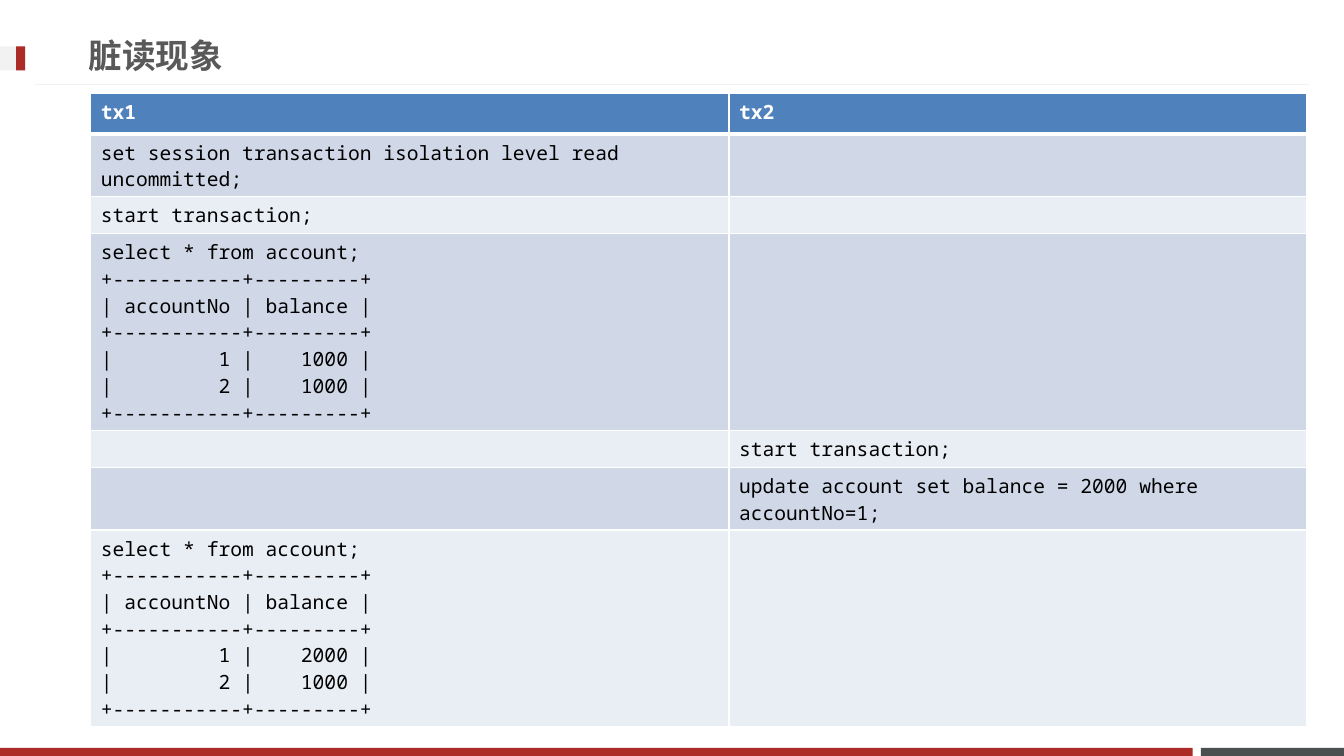
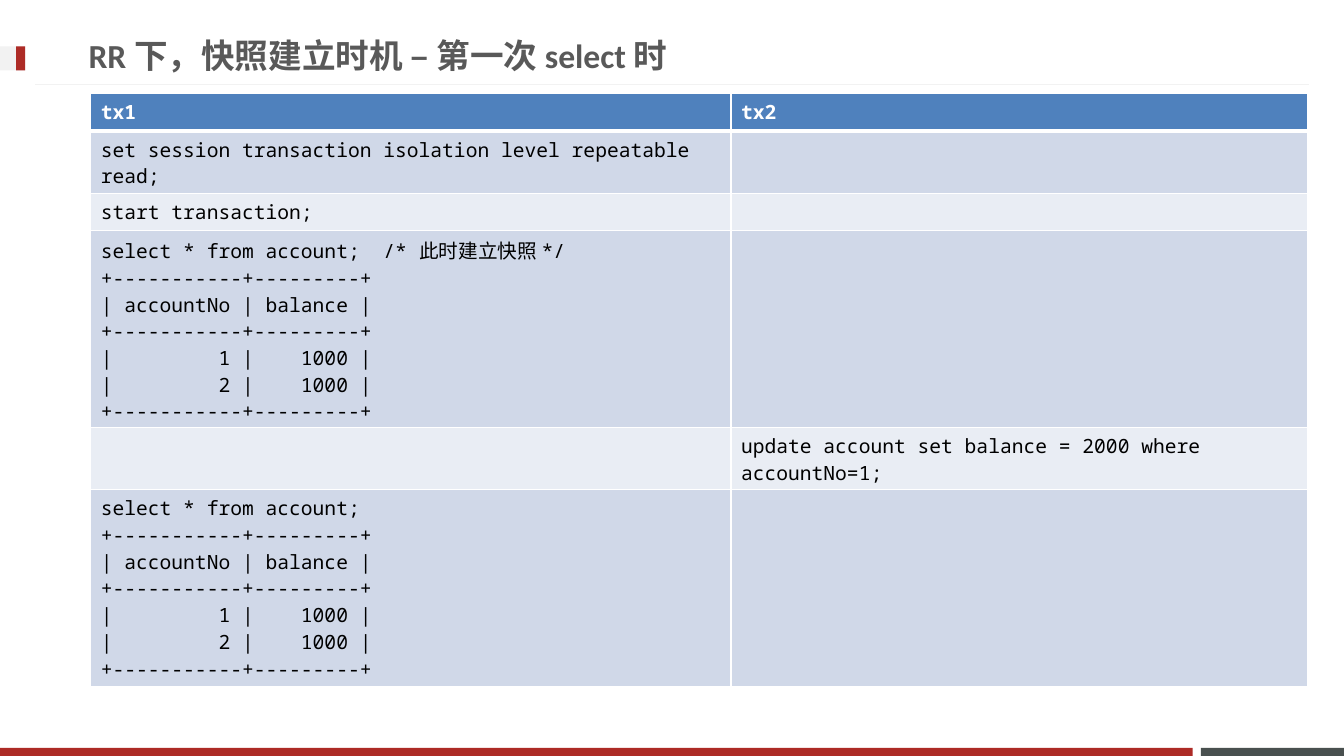
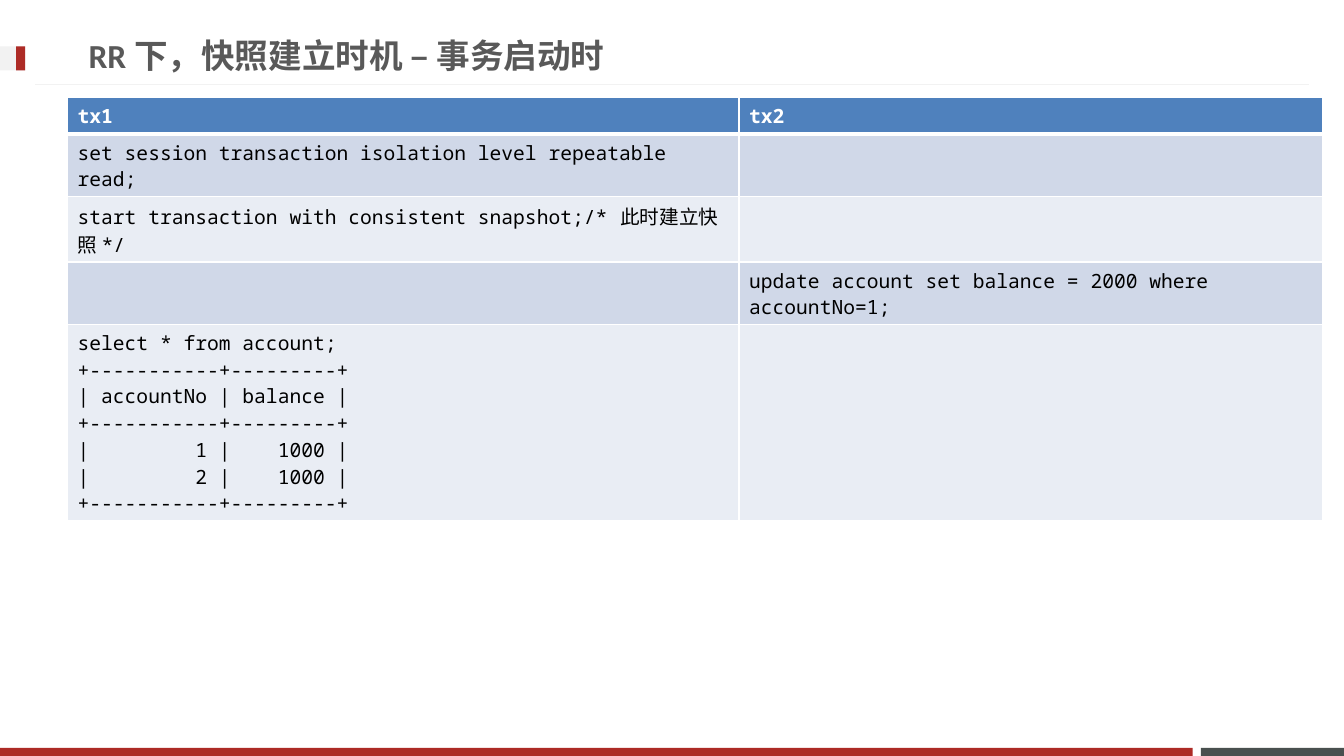
from lxml.etree import SubElement
from pptx import Presentation
from pptx.dml.color import RGBColor
from pptx.enum.shapes import MSO_CONNECTOR, MSO_SHAPE
from pptx.enum.text import MSO_ANCHOR
from pptx.oxml.ns import qn
from pptx.util import Inches, Pt

COLORS = {
    "red": "AD2B26", "slate": "49504F", "pale": "F2F2F2", "title": "595959",
    "header": "4F81BD", "band": "D0D8E8", "light": "E9EDF4",
    "white": "FFFFFF", "black": "000000",
}
CODE_SIZE = 14

# Left, top, width, height and colour of the blocks on every slide
BLOCKS = [
    (11.91, 7.42, 1.42, 0.08, "slate"),
    (0, 7.42, 11.83, 0.08, "red"),
    (0, 0.46, 0.25, 0.24, "pale"),
    (0.16, 0.46, 0.09, 0.24, "red"),
]


def write_text(frame, text, size=CODE_SIZE, font="Noto Sans Mono", color="black", bold=False):
    """Write one paragraph per line; an empty text only sets the line height."""
    for number, line in enumerate(text.split("\n")):
        paragraph = frame.add_paragraph() if number else frame.paragraphs[0]
        if not line:
            paragraph._p.get_or_add_endParaRPr().set("sz", str(size * 100))
            continue
        span = paragraph.add_run()
        span.text = line
        span.font.size = Pt(size)
        span.font.name = font
        span.font.bold = bold
        span.font.color.rgb = RGBColor.from_string(COLORS[color])


def select_result(first_balance, note=""):
    """Return the query and its printed result for the two accounts."""
    rule = "+-----------+---------+"
    accounts = [f"| {number:>9} | {balance:>7} |"
                for number, balance in ((1, first_balance), (2, 1000))]
    return "\n".join(["select * from account;" + note, rule,
                      "| accountNo | balance |", rule, *accounts, rule])


START = "start transaction;"
UPDATE = "update account set balance = 2000 where accountNo=1;"
ISOLATION = "set session transaction isolation level "
SNAPSHOT = "/* 此时建立快照 */"

# Each step is (tx1, tx2); heights belong to the header and then the steps
slides = [
    {
        "title": "脏读现象",
        "left": 0.9, "top": 0.93, "columns": [6.33, 5.73],
        "heights": [0.4, 0.62, 0.37, 1.95, 0.37, 0.62, 1.95],
        "steps": [
            (ISOLATION + "read uncommitted;", ""),
            (START, ""),
            (select_result(1000), ""),
            ("", START),
            ("", UPDATE),
            (select_result(2000), ""),
        ],
    },
    {
        "title": "RR 下，快照建立时机 – 第一次 select 时",
        "left": 0.9, "top": 0.93, "columns": [6.35, 5.72],
        "heights": [0.37, 0.62, 0.37, 1.95, 0.62, 1.95],
        "steps": [
            (ISOLATION + "repeatable read;", ""),
            (START, ""),
            (select_result(1000, "  " + SNAPSHOT), ""),
            ("", UPDATE),
            (select_result(1000), ""),
        ],
    },
    {
        "title": "RR 下，快照建立时机 – 事务启动时",
        "left": 0.67, "top": 0.97, "columns": [6.66, 5.79],
        "heights": [0.36, 0.62, 0.65, 0.62, 1.95],
        "steps": [
            (ISOLATION + "repeatable read;", ""),
            ("start transaction with consistent snapshot;" + SNAPSHOT, ""),
            ("", UPDATE),
            (select_result(1000), ""),
        ],
    },
]

deck = Presentation()
deck.slide_width, deck.slide_height = Inches(13.33), Inches(7.5)

for content in slides:
    page = deck.slides.add_slide(deck.slide_layouts[6])

    for left, top, width, height, color in BLOCKS:
        block = page.shapes.add_shape(MSO_SHAPE.RECTANGLE, Inches(left), Inches(top),
                                      Inches(width), Inches(height))
        block.shadow.inherit = False
        block.fill.solid()
        block.fill.fore_color.rgb = RGBColor.from_string(COLORS[color])
        block.line.fill.background()

    divider = page.shapes.add_connector(MSO_CONNECTOR.STRAIGHT, Inches(12.98), Inches(0.84),
                                        Inches(0.35), Inches(0.84))
    divider.line.color.rgb = RGBColor.from_string(COLORS["pale"])
    divider.line.width = Pt(0.75)
    SubElement(divider._element.spPr, qn("a:effectLst"))

    title = page.shapes.add_textbox(Inches(0.78), Inches(0.26), Inches(9.59), Inches(0.57))
    title.text_frame.word_wrap = True
    title.text_frame.vertical_anchor = MSO_ANCHOR.MIDDLE
    write_text(title.text_frame, content["title"], size=24, font="Calibri",
               color="title", bold=True)

    rows = [("tx1", "tx2"), *content["steps"]]
    table = page.shapes.add_table(
        len(rows), 2, Inches(content["left"]), Inches(content["top"]),
        Inches(sum(content["columns"])), Inches(sum(content["heights"]))).table
    table.horz_banding = False
    for column, width in zip(table.columns, content["columns"]):
        column.width = Inches(width)

    for row_number, texts in enumerate(rows):
        table.rows[row_number].height = Inches(content["heights"][row_number])
        is_header = row_number == 0
        fill = "header" if is_header else ("light", "band")[row_number % 2]
        borders = {"a:lnL": 1, "a:lnR": 1, "a:lnT": 3 if row_number == 1 else 1,
                   "a:lnB": 3 if is_header else 1}
        for column_number, text in enumerate(texts):
            cell = table.cell(row_number, column_number)
            write_text(cell.text_frame, text, color="white" if is_header else "black",
                       bold=is_header)
            properties = cell._tc.get_or_add_tcPr()
            for tag, width in borders.items():
                border = SubElement(properties, qn(tag), w=str(Pt(width)))
                solid = SubElement(border, qn("a:solidFill"))
                SubElement(solid, qn("a:srgbClr"), val=COLORS["white"])
            cell.fill.solid()
            cell.fill.fore_color.rgb = RGBColor.from_string(COLORS[fill])

deck.save("out.pptx")
